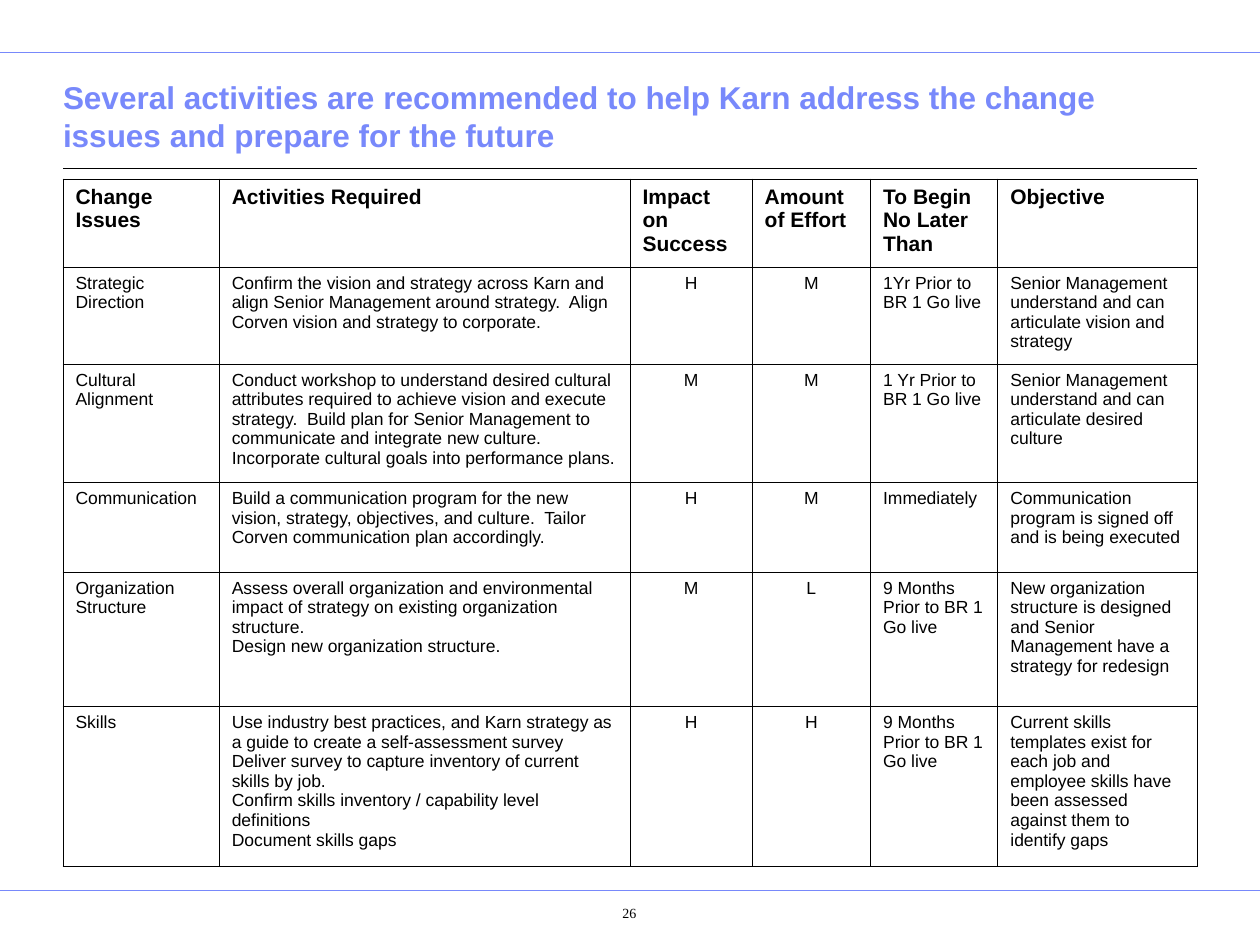
from lxml import etree
from pptx import Presentation
from pptx.dml.color import RGBColor
from pptx.enum import shapes, text
from pptx.oxml import ns
from pptx.util import Inches, Pt

BLUE = RGBColor(0x78, 0x89, 0xFB)
BLACK = RGBColor(0, 0, 0)

COLUMN_WIDTHS = [1.24, 3.26, 0.97, 0.94, 1.01, 1.58]
ROW_HEIGHTS = [0.7, 0.77, 0.94, 0.71, 1.07, 1.27]
RATING_COLUMNS = (2, 3)
ROWS = [
    ["Change Issues", "Activities Required", "Impact on Success",
     "Amount of Effort", "To Begin No Later Than", "Objective"],
    ["Strategic Direction",
     "Confirm the vision and strategy across Karn and align Senior Management "
     "around strategy.  Align Corven vision and strategy to corporate.",
     "H", "M", "1Yr Prior to BR 1 Go live",
     "Senior Management understand and can articulate vision and strategy"],
    ["Cultural Alignment",
     "Conduct workshop to understand desired cultural attributes required to "
     "achieve vision and execute strategy.  Build plan for Senior Management to "
     "communicate and integrate new culture.  Incorporate cultural goals into "
     "performance plans.",
     "M", "M", "1 Yr Prior to BR 1 Go live",
     "Senior Management understand and can articulate desired culture"],
    ["Communication",
     "Build a communication program for the new vision, strategy, objectives, "
     "and culture.  Tailor Corven communication plan accordingly.",
     "H", "M", "Immediately",
     "Communication program is signed off and is being executed"],
    ["Organization Structure",
     "Assess overall organization and environmental impact of strategy on "
     "existing organization structure.\n"
     "Design new organization structure.",
     "M", "L", "9 Months Prior to BR 1 Go live",
     "New organization structure is designed and Senior Management have a "
     "strategy for redesign"],
    ["Skills",
     "Use industry best practices, and Karn strategy as a guide to create a "
     "self-assessment survey\n"
     "Deliver survey to capture inventory of current skills by job.\n"
     "Confirm skills inventory / capability level definitions\n"
     "Document skills gaps",
     "H", "H", "9 Months Prior to BR 1 Go live",
     "Current skills templates exist for each job and employee skills have been "
     "assessed against them to identify gaps"],
]


def format_text(frame, font_name, size, color, bold=False,
                align=text.PP_ALIGN.LEFT):
    for paragraph in frame.paragraphs:
        paragraph.alignment = align
        for span in paragraph.runs:
            span.font.name = font_name
            span.font.size = Pt(size)
            span.font.bold = bold
            span.font.color.rgb = color


def add_borders(cell):
    properties = cell._tc.get_or_add_tcPr()
    for position, side in enumerate(("lnL", "lnR", "lnT", "lnB")):
        border = etree.Element(ns.qn(f"a:{side}"), w=str(Pt(0.45)))
        fill = etree.SubElement(border, ns.qn("a:solidFill"))
        etree.SubElement(fill, ns.qn("a:srgbClr"), val=str(BLACK))
        properties.insert(position, border)


deck = Presentation()
deck.slide_width, deck.slide_height = Inches(10), Inches(7.5)
page = deck.slides.add_slide(deck.slide_layouts[5])

# Rules across the page and under the title
for left, right, y, color, width in [
    (0, 10, 0.42, BLUE, 0.5),
    (0, 10, 7.07, BLUE, 0.5),
    (0.5, 9.5, 1.34, BLACK, 0.75),
]:
    rule = page.shapes.add_connector(
        shapes.MSO_CONNECTOR.STRAIGHT,
        Inches(left), Inches(y), Inches(right), Inches(y))
    rule.line.color.rgb = color
    rule.line.width = Pt(width)
    etree.SubElement(rule._element.spPr, ns.qn("a:effectLst"))

# Title
title = page.shapes.title
title.left, title.top = Inches(0.5), Inches(0.64)
title.width, title.height = Inches(9), Inches(0.63)
frame = title.text_frame
frame.text = ("Several activities are recommended to help Karn address the "
              "change issues and prepare for the future")
frame.word_wrap = True
frame.auto_size = text.MSO_AUTO_SIZE.NONE
frame.vertical_anchor = text.MSO_ANCHOR.BOTTOM
frame.margin_left = frame.margin_right = 0
format_text(frame, "Arial", 18, BLUE, bold=True)

# Activities table
table = page.shapes.add_table(
    len(ROWS), len(COLUMN_WIDTHS), Inches(0.5), Inches(1.42),
    Inches(sum(COLUMN_WIDTHS)), Inches(sum(ROW_HEIGHTS))).table
table.horz_banding = False
for column, width in zip(table.columns, COLUMN_WIDTHS):
    column.width = Inches(width)
for row_index, (row, height) in enumerate(zip(table.rows, ROW_HEIGHTS)):
    row.height = Inches(height)
    header = row_index == 0
    for column_index, cell in enumerate(row.cells):
        cell.text_frame.text = ROWS[row_index][column_index]
        cell.fill.background()
        add_borders(cell)
        centred = column_index in RATING_COLUMNS and not header
        format_text(
            cell.text_frame, "Arial", 12 if header else 10, BLACK, bold=header,
            align=text.PP_ALIGN.CENTER if centred else text.PP_ALIGN.LEFT)

# Page number
number_box = page.shapes.add_textbox(
    Inches(4.27), Inches(7.11), Inches(1.15), Inches(0.35))
frame = number_box.text_frame
frame.word_wrap = True
frame.margin_left, frame.margin_top = Inches(0.4), Inches(0.07)
frame.text = "26"
format_text(frame, "Times New Roman", 8, BLACK, align=text.PP_ALIGN.CENTER)

deck.save("out.pptx")
